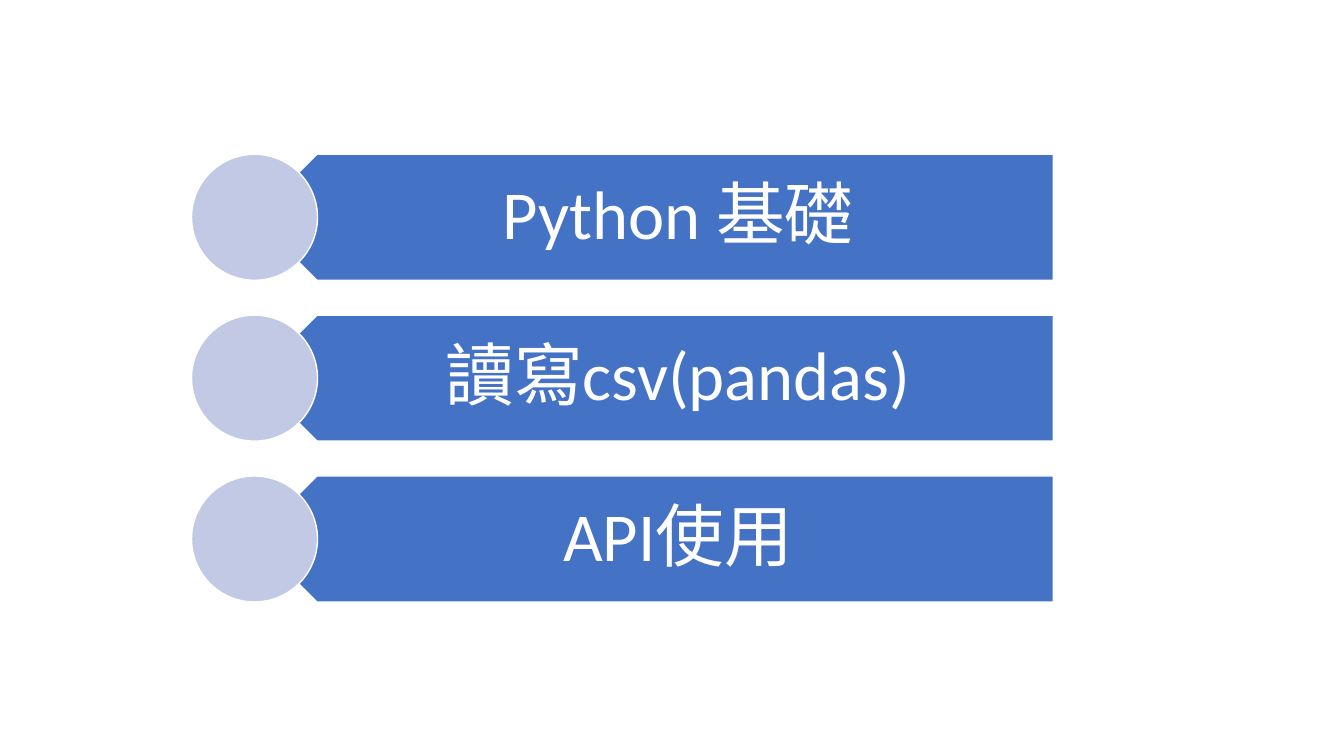
import pptx
import pptx.dml.color
import pptx.enum.shapes
import pptx.enum.text
import pptx.util

Pt = pptx.util.Pt
SHAPES = pptx.enum.shapes.MSO_SHAPE


def color(value):
    return pptx.dml.color.RGBColor.from_string(value)


def add_filled(kind, left, top, width, height, fill):
    shape = page.shapes.add_shape(kind, Pt(left), Pt(top), Pt(width), Pt(height))
    shape.shadow.inherit = False
    shape.fill.solid()
    shape.fill.fore_color.rgb = color(fill)
    shape.line.color.rgb = color("FFFFFF")
    shape.line.width = Pt(1)
    return shape


deck = pptx.Presentation()
deck.slide_width = Pt(960)
deck.slide_height = Pt(540)
page = deck.slides.add_slide(deck.slide_layouts[6])

topics = ["Python 基礎", "讀寫csv(pandas)", "API使用"]
first_top = 110.2
row_height = 90
row_pitch = 114.9

for index, topic in enumerate(topics):
    top = first_top + index * row_pitch

    # Banner pointing left
    banner = add_filled(SHAPES.PENTAGON, 181.4, top, 571, row_height, "4472C4")
    banner.rotation = 180

    # Topic text
    box = page.shapes.add_textbox(Pt(203.8), Pt(top), Pt(548.6), Pt(row_height))
    frame = box.text_frame
    frame.word_wrap = True
    frame.vertical_anchor = pptx.enum.text.MSO_ANCHOR.MIDDLE
    frame.margin_left = Pt(39.6)
    frame.margin_right = Pt(27.4)
    frame.margin_top = frame.margin_bottom = Pt(14.4)
    frame.text = topic
    para = frame.paragraphs[0]
    para.alignment = pptx.enum.text.PP_ALIGN.CENTER
    para.line_spacing = 0.9
    span = para.runs[0]
    span.font.name = "Calibri"
    span.font.size = Pt(49)
    span.font.color.rgb = color("FFFFFF")

    # Circle over the tip
    add_filled(SHAPES.OVAL, 136.8, top, row_height, row_height, "C1C9E4")

deck.save("out.pptx")
